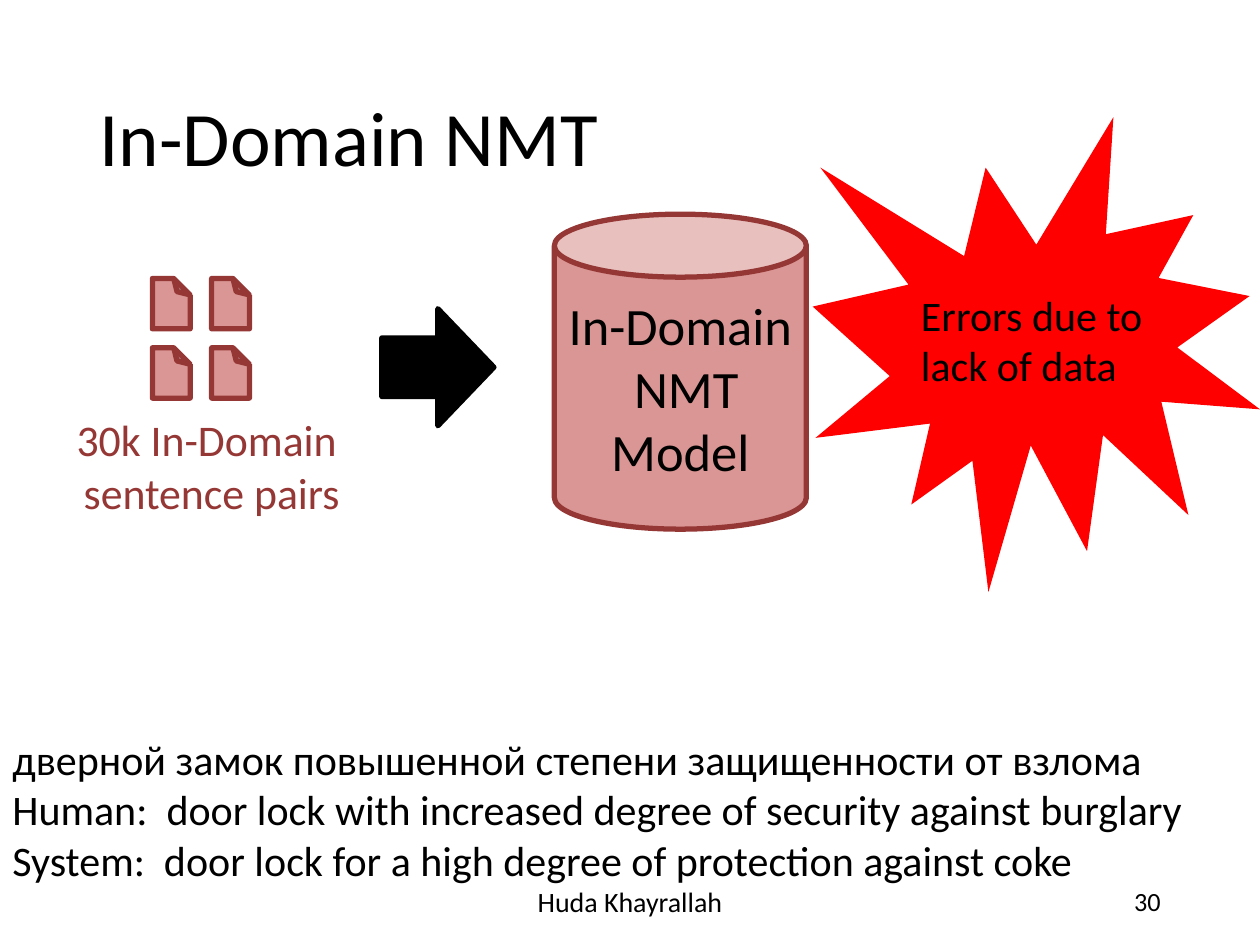
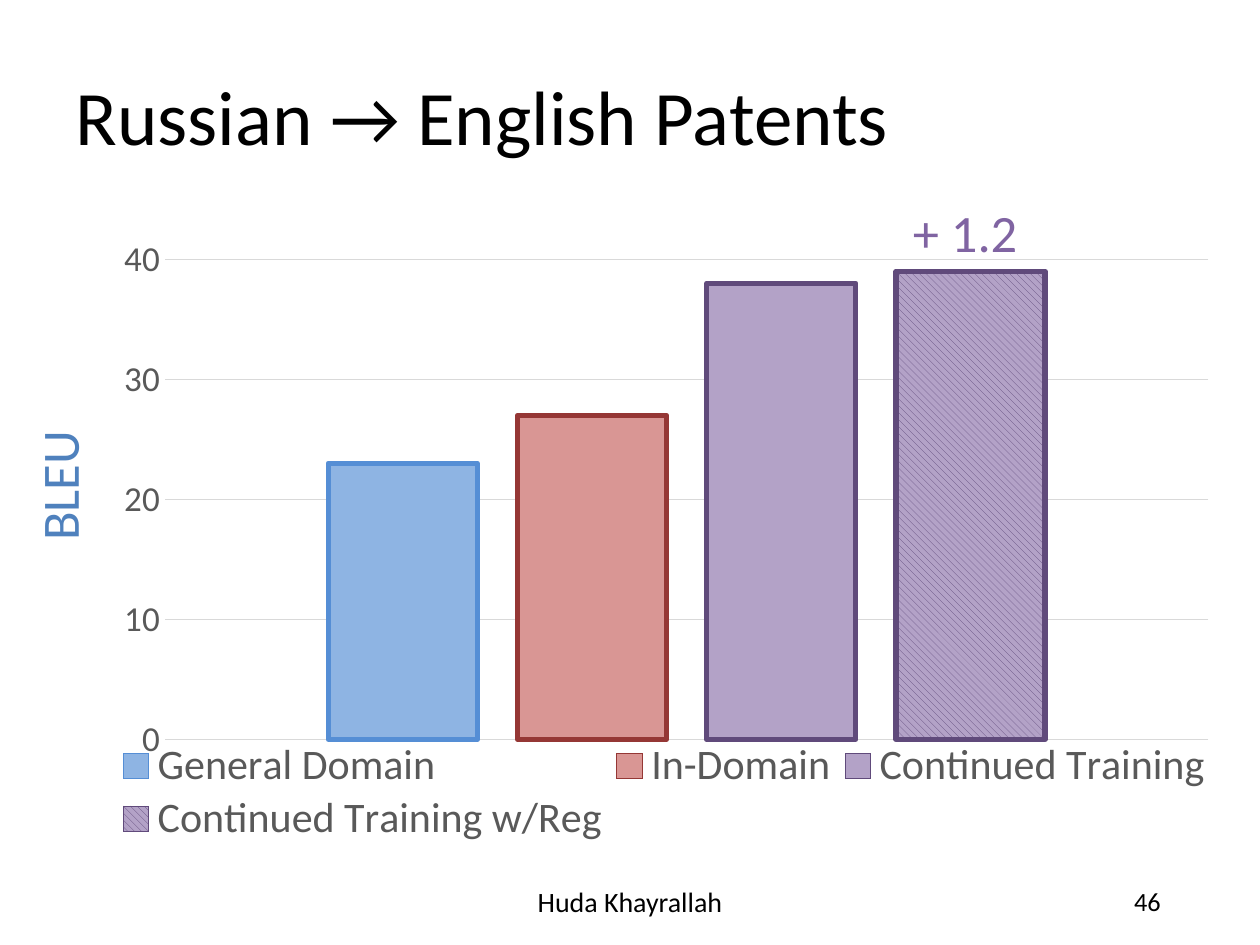
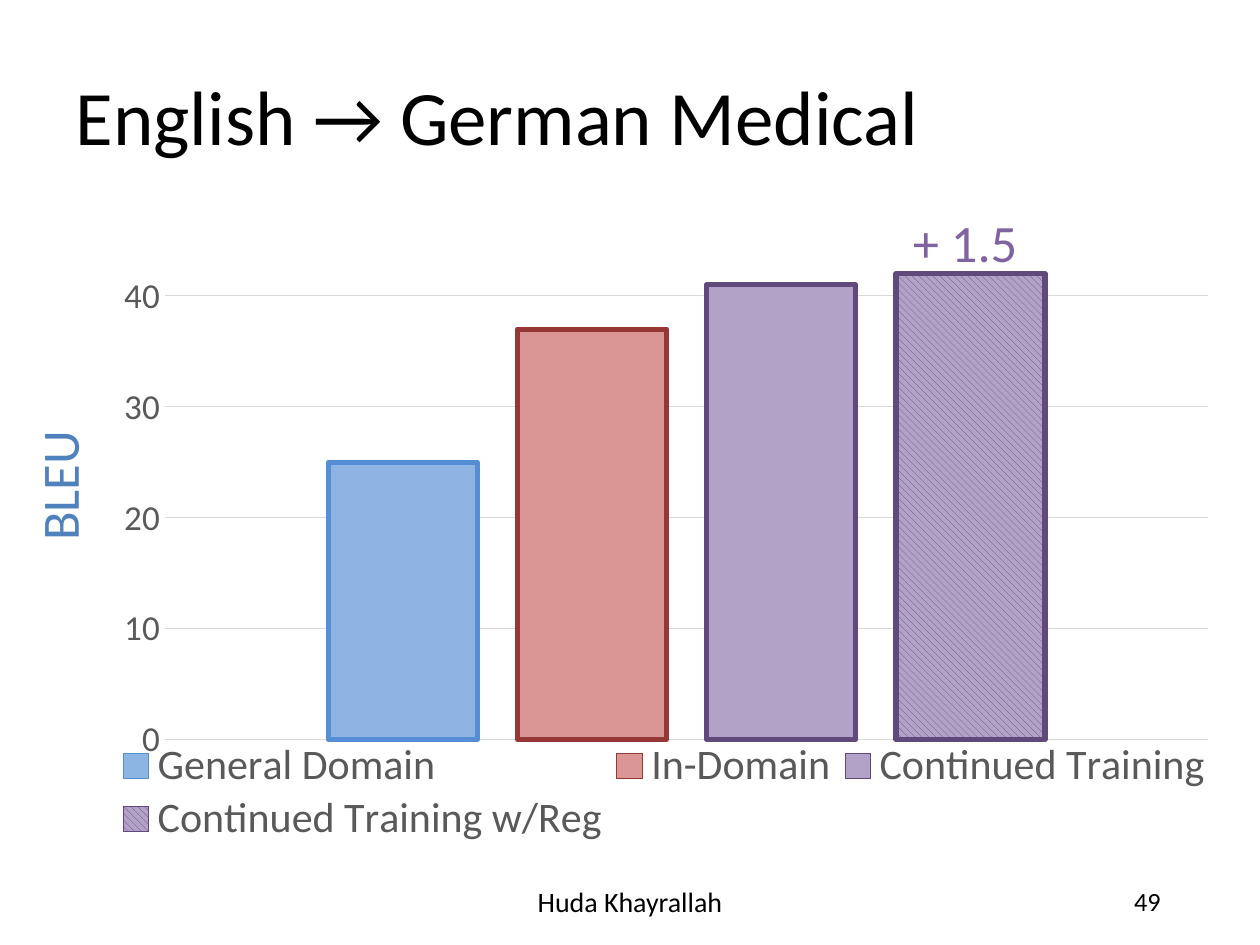
import itertools

import lxml.etree
import pptx
import pptx.chart.data
import pptx.dml.color
import pptx.enum.chart
import pptx.enum.dml
import pptx.enum.shapes
import pptx.enum.text
import pptx.oxml
import pptx.oxml.ns
import pptx.util

RGBColor = pptx.dml.color.RGBColor
BLACK = RGBColor(0x00, 0x00, 0x00)
RED = RGBColor(0xFF, 0x00, 0x00)
ROSE = RGBColor(0xD9, 0x96, 0x94)
DARK_ROSE = RGBColor(0x95, 0x37, 0x35)
SKY = RGBColor(0x8E, 0xB4, 0xE3)
BLUE = RGBColor(0x55, 0x8E, 0xD5)
AXIS_BLUE = RGBColor(0x4F, 0x81, 0xBD)
LILAC = RGBColor(0xB3, 0xA2, 0xC7)
PURPLE = RGBColor(0x60, 0x4A, 0x7B)
GAIN_PURPLE = RGBColor(0x80, 0x64, 0xA2)
GREY = RGBColor(0x59, 0x59, 0x59)
GRID_GREY = RGBColor(0xD9, 0xD9, 0xD9)

FONT = "Calibri"
COLUMNS, ROWS = 100, 75
SLIDE_WIDTH, SLIDE_HEIGHT = pptx.util.Inches(10), pptx.util.Inches(7.5)
OUTLINE = pptx.util.Pt(3)

ALIGN = pptx.enum.text.PP_ALIGN
ANCHOR = pptx.enum.text.MSO_ANCHOR
SHAPE = pptx.enum.shapes.MSO_SHAPE

# Name, fill, outline, hatched
SYSTEMS = [
    ("General Domain", SKY, BLUE, False),
    ("In-Domain", ROSE, DARK_ROSE, False),
    ("Continued Training", LILAC, PURPLE, False),
    ("Continued Training w/Reg", LILAC, PURPLE, True),
]


def set_font(font, size, color):
    font.name, font.size = FONT, pptx.util.Pt(size)
    font.color.rgb = color


def write(frame, text, size=24, color=BLACK, align=ALIGN.LEFT,
          anchor=ANCHOR.TOP, spacing=None):
    """Fill a text frame; a newline starts a paragraph, a vertical tab a line."""
    frame.word_wrap = True
    frame.auto_size = pptx.enum.text.MSO_AUTO_SIZE.NONE
    frame.vertical_anchor = anchor
    frame.text = text
    for paragraph in frame.paragraphs:
        paragraph.alignment = align
        paragraph.line_spacing = spacing
        for run in paragraph.runs:
            set_font(run.font, size, color)


def place(element, x, y, w, h):
    """Set a manual layout, in shares of the chart, on a plot area or legend."""
    for layout in element.findall(pptx.oxml.ns.qn("c:layout")):
        element.remove(layout)
    is_plot = element.tag == pptx.oxml.ns.qn("c:plotArea")
    target = '<c:layoutTarget val="inner"/>' if is_plot else ""
    modes = "".join(f'<c:{side}Mode val="edge"/>' for side in "xy")
    sizes = "".join(f'<c:{side} val="{share}"/>'
                    for side, share in zip("xywh", (x, y, w, h)))
    layout = pptx.oxml.parse_xml(
        f'<c:layout {pptx.oxml.ns.nsdecls("c")}><c:manualLayout>'
        f"{target}{modes}{sizes}</c:manualLayout></c:layout>")
    element.insert(0 if is_plot else 1, layout)


class Deck:
    def __init__(self):
        self.presentation = pptx.Presentation()
        self.presentation.slide_width = SLIDE_WIDTH
        self.presentation.slide_height = SLIDE_HEIGHT
        self.slide = None

    def box(self, left, top, width, height):
        """Turn grid columns and rows into lengths."""
        column, row = SLIDE_WIDTH / COLUMNS, SLIDE_HEIGHT / ROWS
        return (round(left * column), round(top * row),
                round(width * column), round(height * row))

    def start(self, title, number, title_box=(5, 3.3, 90, 12.5)):
        """Add a slide with its title, author footer and number."""
        layout = self.presentation.slide_layouts[5]
        self.slide = self.presentation.slides.add_slide(layout)
        heading = self.slide.shapes.title
        (heading.left, heading.top,
         heading.width, heading.height) = self.box(*title_box)
        write(heading.text_frame, title, size=44, anchor=ANCHOR.MIDDLE,
              spacing=0.9)
        self.text("Huda Khayrallah", (33.1, 69.5, 33.8, 4), size=16,
                  align=ALIGN.CENTER, anchor=ANCHOR.MIDDLE)
        self.text(str(number), (70.6, 69.5, 22.5, 4), size=15,
                  align=ALIGN.RIGHT, anchor=ANCHOR.MIDDLE)

    def text(self, words, area, rotation=0, **style):
        label = self.slide.shapes.add_textbox(*self.box(*area))
        label.rotation = rotation
        write(label.text_frame, words, **style)

    def shape(self, kind, area, fill, line=None, words="", **style):
        figure = self.slide.shapes.add_shape(kind, *self.box(*area))
        figure.shadow.inherit = False
        figure.fill.solid()
        figure.fill.fore_color.rgb = fill
        if line is None:
            figure.line.fill.background()
        else:
            figure.line.color.rgb = line
            figure.line.width = OUTLINE
        if words:
            write(figure.text_frame, words, anchor=ANCHOR.MIDDLE, **style)
        return figure

    def document(self, left, top):
        """Draw a page whose top right corner is folded."""
        page = self.shape(SHAPE.FOLDED_CORNER, (left, top, 3, 4), ROSE, DARK_ROSE)
        page.rotation = 180
        outline = page._element.spPr
        outline.xfrm.set("flipH", "1")
        fold = outline.find(".//" + pptx.oxml.ns.qn("a:avLst"))
        lxml.etree.SubElement(fold, pptx.oxml.ns.qn("a:gd"),
                              name="adj", fmla="val 43500")

    def score_chart(self, scores, maximum, plot_top, plot_height):
        data = pptx.chart.data.CategoryChartData()
        data.categories = ["1"]
        for (name, *_), score in zip(SYSTEMS, scores):
            data.add_series(name, [score])
        chart = self.slide.shapes.add_chart(
            pptx.enum.chart.XL_CHART_TYPE.COLUMN_CLUSTERED,
            *self.box(7.7, 18.1, 90, 49.5), data).chart
        chart.has_title = False
        set_font(chart.font, 10, BLACK)

        plot = chart.plots[0]
        plot.gap_width, plot.overlap = 219, -27
        plot.vary_by_categories = False
        for bar, (_, fill, line, hatched) in zip(plot.series, SYSTEMS):
            paint = bar.format.fill
            if hatched:
                paint.patterned()
                paint.pattern = pptx.enum.dml.MSO_PATTERN.WIDE_DOWNWARD_DIAGONAL
                paint.fore_color.rgb, paint.back_color.rgb = line, fill
            else:
                paint.solid()
                paint.fore_color.rgb = fill
            bar.format.line.color.rgb = line
            bar.format.line.width = OUTLINE

        chart.category_axis.visible = False
        axis = chart.value_axis
        axis.minimum_scale, axis.maximum_scale, axis.major_unit = 0, maximum, 10
        axis.major_tick_mark = pptx.enum.chart.XL_TICK_MARK.NONE
        axis.format.line.fill.background()
        set_font(axis.tick_labels.font, 20, GREY)
        axis.major_gridlines.format.line.color.rgb = GRID_GREY
        axis.major_gridlines.format.line.width = pptx.util.Pt(0.75)

        chart.has_legend = True
        legend = chart.legend
        legend.position = pptx.enum.chart.XL_LEGEND_POSITION.BOTTOM
        legend.include_in_layout = False
        set_font(legend.font, 24, GREY)
        place(legend._element, 0.01, 0.82, 0.98, 0.17)
        place(chart._chartSpace.chart.plotArea, 0.06, plot_top, 0.92, plot_height)

    def result(self, title, number, scores, maximum, gain, gain_top,
               plot_top, plot_height):
        """Add a slide that compares the BLEU scores of all systems."""
        self.start(title, number)
        self.score_chart(scores, maximum, plot_top, plot_height)
        self.text("BLEU", (-0.9, 35.3, 11.1, 6.1), rotation=270, size=30,
                  color=AXIS_BLUE)
        self.text(gain, (69.2, gain_top, 14.8, 6.1), size=30,
                  color=GAIN_PURPLE, align=ALIGN.CENTER)


def main():
    deck = Deck()

    deck.start("In-Domain NMT", 30, title_box=(6.9, 4, 86.2, 14.5))
    deck.shape(SHAPE.CAN, (44, 17, 20, 25), ROSE, DARK_ROSE,
               "In-Domain\n NMT Model", size=30, align=ALIGN.CENTER)
    deck.shape(SHAPE.EXPLOSION1, (64.5, 9.3, 35.5, 37.7), RED,
               words="Errors due to lack of data")
    deck.shape(SHAPE.RIGHT_ARROW, (30.3, 24.5, 8.9, 9.3), BLACK, BLACK)
    for top, left in itertools.product((22.1, 27.6), (12.1, 16.8)):
        deck.document(left, top)
    deck.text("30k In-Domain\n sentence pairs", (2.2, 32.3, 28.4, 9.4),
              size=25, color=DARK_ROSE, align=ALIGN.CENTER)
    deck.text("дверной замок повышенной степени защищенности от взлома\v"
              "Human:  door lock with increased degree of security against burglary\n"
              "System:  door lock for a high degree of protection against coke",
              (0, 50, 99.9, 20.7), anchor=ANCHOR.BOTTOM)

    deck.result("Russian → English Patents", 46, (23, 27, 38, 39), 40,
                "+ 1.2", 15.4, plot_top=0.05, plot_height=0.77)
    deck.result("English → German Medical", 49, (25, 37, 41, 42), 45,
                "+ 1.5", 16.2, plot_top=0.02, plot_height=0.8)

    deck.presentation.save("out.pptx")


if __name__ == "__main__":
    main()
